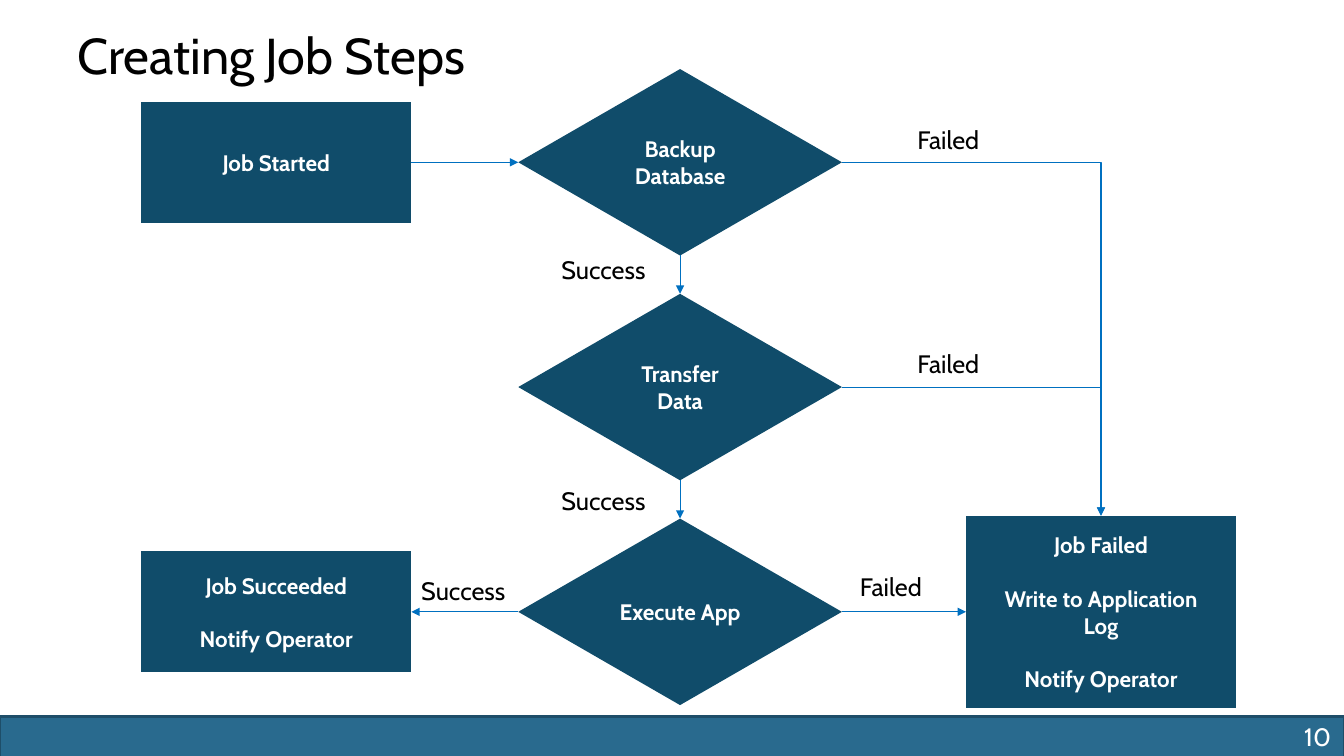
from pptx import Presentation
from pptx import util as u
from pptx.dml.color import RGBColor
from pptx.enum import shapes, text
from pptx.oxml.ns import qn
from lxml import etree

FONT = "Cabin"
NAVY, BLUE, WHITE, BLACK = "104C6A", "0070C0", "FFFFFF", "000000"
TOP, LEFT, BOTTOM, RIGHT = range(4)
SHAPE = shapes.MSO_SHAPE
STRAIGHT = shapes.MSO_CONNECTOR.STRAIGHT
ELBOW = shapes.MSO_CONNECTOR.ELBOW


def color(value):
    return RGBColor.from_string(value)


def inches(*values):
    return [u.Inches(v) for v in values]


def add_run(p, words, size, fill, bold=False):
    r = p.add_run()
    r.text = words
    r.font.name = FONT
    r.font.size = u.Pt(size)
    r.font.bold = bold
    r.font.color.rgb = color(fill)


def add_label(s, words, x, y, w, align=text.PP_ALIGN.LEFT, fill=BLACK):
    sp = s.shapes.add_textbox(*inches(x, y, w, 0.4))
    tf = sp.text_frame
    tf.word_wrap = True
    p = tf.paragraphs[0]
    p.alignment = align
    add_run(p, words, 18, fill)


def add_node(s, kind, lines, x, cy, w, h):
    sp = s.shapes.add_shape(kind, *inches(x, cy - h / 2, w, h))
    sp.shadow.inherit = False
    sp.fill.solid()
    sp.fill.fore_color.rgb = color(NAVY)
    sp.line.fill.background()
    tf = sp.text_frame
    tf.word_wrap = True
    tf.vertical_anchor = text.MSO_ANCHOR.MIDDLE
    tf.margin_left = tf.margin_right = u.Inches(0.2)
    for i, words in enumerate(lines):
        p = tf.paragraphs[0] if i == 0 else tf.add_paragraph()
        p.alignment = text.PP_ALIGN.CENTER
        if i:
            p.space_before = u.Pt(19)
        add_run(p, words, 16, WHITE, True)
    return sp


def add_arrow(s, start, start_side, end, end_side, kind=STRAIGHT):
    cx = s.shapes.add_connector(kind, 0, 0, 0, 0)
    cx.begin_connect(start, start_side)
    cx.end_connect(end, end_side)
    cx.line.color.rgb = color(BLUE)
    cx.line.width = u.Pt(0.75)
    spPr = cx._element.spPr
    if kind == ELBOW:
        spPr.find(qn("a:prstGeom")).set("prst", "bentConnector2")
    etree.SubElement(spPr.find(qn("a:ln")), qn("a:tailEnd"), type="triangle")
    etree.SubElement(spPr, qn("a:effectLst"))


def add_title(s, words, x, y, w, h):
    sp = s.shapes.title
    sp.left, sp.top, sp.width, sp.height = inches(x, y, w, h)
    tf = sp.text_frame
    tf.word_wrap = True
    tf.vertical_anchor = text.MSO_ANCHOR.TOP
    p = tf.paragraphs[0]
    p.alignment = text.PP_ALIGN.LEFT
    p.line_spacing = u.Pt(35)
    add_run(p, words, 36, BLACK)


def add_footer(s, number, x, y, w, h):
    sp = s.shapes.add_shape(SHAPE.RECTANGLE, *inches(x, y, w, h))
    sp.shadow.inherit = False
    sp.fill.solid()
    sp.fill.fore_color.rgb = color("296A8E")
    sp.line.color.rgb = color("1E4E69")
    sp.line.width = u.Pt(2)
    add_label(s, number, x + w - 0.81, y, 0.78, text.PP_ALIGN.RIGHT, WHITE)


def add_flow(s, x, y, step):
    rows = [y + step * i for i in range(3)]
    box_w, box_h = 2.68, 1.2
    step_x, fail_x = x + 3.74, x + 8.18
    names = ["Backup Database", "Transfer Data", "Execute App"]
    steps = [add_node(s, SHAPE.FLOWCHART_DECISION, [name], step_x, cy, 3.21, 1.85)
             for name, cy in zip(names, rows)]
    started = add_node(s, SHAPE.FLOWCHART_PROCESS, ["Job Started"],
                       x, rows[0], box_w, box_h)
    succeeded = add_node(s, SHAPE.FLOWCHART_PROCESS, ["Job Succeeded", "Notify Operator"],
                         x, rows[2], box_w, box_h)
    failed = add_node(s, SHAPE.FLOWCHART_PROCESS,
                      ["Job Failed", "Write to Application Log", "Notify Operator"],
                      fail_x, rows[2], box_w, 1.91)

    add_arrow(s, started, RIGHT, steps[0], LEFT)
    for upper, lower in zip(steps, steps[1:]):
        add_arrow(s, upper, BOTTOM, lower, TOP)
        add_arrow(s, upper, RIGHT, failed, TOP, ELBOW)
    add_arrow(s, steps[2], LEFT, succeeded, RIGHT)
    add_arrow(s, steps[2], RIGHT, failed, LEFT)

    for dx, dy in [(4.07, 0.86), (4.07, 3.16), (2.68, 4.05)]:
        add_label(s, "Success", x + dx, y + dy, 1.27)
    for dx, dy in [(7.6, -0.43), (7.6, 1.8), (7.03, 4.01)]:
        add_label(s, "Failed", x + dx, y + dy, 0.98)


def main():
    prs = Presentation()
    prs.slide_width, prs.slide_height = inches(13.33, 7.5)
    s = prs.slides.add_slide(prs.slide_layouts[5])
    add_footer(s, "10", 0, 7.11, 13.33, 0.4)
    add_title(s, "Creating Job Steps", 0.67, 0.3, 12, 1.25)
    add_flow(s, 1.4, 1.61, 2.23)
    prs.save("out.pptx")


if __name__ == "__main__":
    main()
